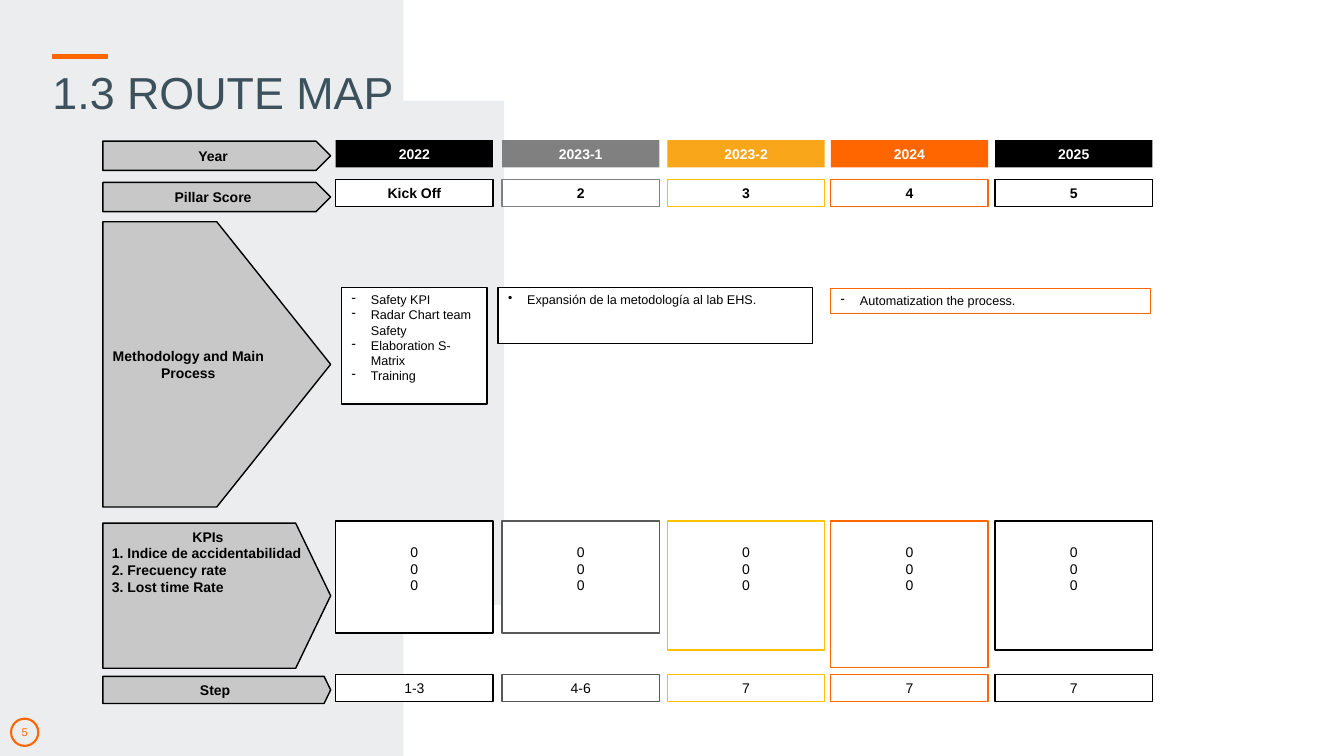
from lxml import etree
from pptx import Presentation, util as u
from pptx.dml.color import RGBColor
from pptx.enum import shapes, text
from pptx.oxml import ns

COLORS = {"black": "000000", "white": "FFFFFF", "grey": "808080", "dark grey": "595959",
          "plate": "C8C8C8", "amber": "F9A61A", "yellow": "FFC000", "orange": "FF6600",
          "slate": "3C515B", "backdrop": "3C4F5B"}
RECT, PLATE = shapes.MSO_SHAPE.RECTANGLE, shapes.MSO_SHAPE.PENTAGON
LEFT, CENTER = text.PP_ALIGN.LEFT, text.PP_ALIGN.CENTER
TOP, MIDDLE = text.MSO_ANCHOR.TOP, text.MSO_ANCHOR.MIDDLE


def color(name):
    return RGBColor.from_string(COLORS[name])


def add_box(kind, frame, fill, line, lines, size=10, bold=False, ink="black", align=CENTER,
            anchor=TOP, bullet=None, top_inset=0.05, side_inset=0.1, weight=1):
    """Draw a filled, outlined shape holding one paragraph per line; None means no fill or line."""
    box = slide.shapes.add_shape(kind, *map(u.Inches, frame))
    box.shadow.inherit = False
    if fill:
        box.fill.solid()
        box.fill.fore_color.rgb = color(fill)
    else:
        box.fill.background()
    if line:
        box.line.color.rgb = color(line)
        box.line.width = u.Pt(weight)
    else:
        box.line.fill.background()
    body = box.text_frame
    layout = {"word_wrap": True, "vertical_anchor": anchor, "margin_top": u.Inches(top_inset),
              "margin_bottom": u.Inches(0.05), "margin_left": u.Inches(side_inset),
              "margin_right": u.Inches(side_inset)}
    for key, value in layout.items():
        setattr(body, key, value)
    for index, line_text in enumerate(lines):
        para = body.paragraphs[0] if index == 0 else body.add_paragraph()
        para.alignment = align
        if bullet:
            props = para._p.get_or_add_pPr()
            props.set("marL", str(u.Inches(0.19)))
            props.set("indent", str(u.Inches(-0.19)))
            etree.SubElement(props, ns.qn("a:buChar"), char=bullet)
        run = para.add_run()
        run.text = line_text
        for key, value in {"name": "Arial", "size": u.Pt(size), "bold": bold}.items():
            setattr(run.font, key, value)
        run.font.color.rgb = color(ink)
    return box


deck = Presentation()
deck.slide_width, deck.slide_height = u.Inches(13.33), u.Inches(7.5)
slide = deck.slides.add_slide(deck.slide_layouts[6])

# Curved backdrop: Bézier arcs sampled as short segments
arcs = [[(3.82, 0), (3.87, 0.08), (3.93, 0.17), (3.98, 0.25)],
        [(3.98, 0.25), (4.59, 1.25), (4.94, 2.44), (4.94, 3.71)],
        [(4.94, 3.71), (4.94, 5.09), (4.52, 6.37), (3.8, 7.44)]]
STEPS = 24
edge = []
for arc in arcs:
    for step in range(1, STEPS + 1):
        t = step / STEPS
        weights = ((1 - t) ** 3, 3 * t * (1 - t) ** 2, 3 * t ** 2 * (1 - t), t ** 3)
        edge.append(tuple(sum(w * point[axis] for w, point in zip(weights, arc))
                          for axis in (0, 1)))
outline = slide.shapes.build_freeform(0, 0, scale=u.Inches(1))
outline.add_line_segments([(3.82, 0), *edge, (3.76, 7.5), (0, 7.5)], close=True)
backdrop = outline.convert_to_shape()
backdrop.shadow.inherit = False
backdrop.line.fill.background()
backdrop.fill.solid()
backdrop.fill.fore_color.rgb = color("backdrop")
tint = backdrop._element.spPr.find(".//" + ns.qn("a:srgbClr"))
etree.SubElement(tint, ns.qn("a:alpha"), val="10000")

# Page number, accent and title
add_box(shapes.MSO_SHAPE.OVAL, (0.11, 7.13, 0.27, 0.27), None, "orange", ["5"], size=8,
        ink="orange", anchor=MIDDLE, side_inset=0, weight=1.5)
accent = slide.shapes.add_connector(shapes.MSO_CONNECTOR.STRAIGHT, u.Inches(0.52),
                                    u.Inches(0.56), u.Inches(1.07), u.Inches(0.56))
accent.line.color.rgb = color("orange")
accent.line.width = u.Pt(3)
etree.SubElement(accent._element.spPr, ns.qn("a:effectLst"))

heading = slide.shapes.add_textbox(*map(u.Inches, (0.52, 0.7, 9.28, 0.48))).text_frame
for key in ("margin_left", "margin_top", "margin_right", "margin_bottom"):
    setattr(heading, key, 0)
heading.word_wrap = True
title = heading.paragraphs[0]
title.text = "1.3 ROUTE MAP"
title.line_spacing = 0.9
for key, value in {"name": "Arial", "size": u.Pt(32)}.items():
    setattr(title.font, key, value)
title.font.color.rgb = color("slate")

# Row labels: top, height, point depth, lines, alignment, anchor
PLATE_LEFT, PLATE_WIDTH = 1.02, 2.26
row_labels = [
    (1.4, 0.29, 0.5, ["Year"], CENTER, MIDDLE),
    (1.81, 0.29, 0.5, ["Pillar Score"], CENTER, MIDDLE),
    (2.2, 2.83, 0.4, ["Methodology and Main Process"], CENTER, MIDDLE),
    (5.19, 1.44, 0.241, ["KPIs", "1. Indice de accidentabilidad", "2. Frecuency rate",
                         "3. Lost time Rate"], LEFT, TOP),
    (6.71, 0.27, 0.241, ["Step"], CENTER, MIDDLE),
]
for top, height, depth, lines, align, anchor in row_labels:
    plate = add_box(PLATE, (PLATE_LEFT, top, PLATE_WIDTH, height), "plate", "black", lines,
                    bold=True, align=align, anchor=anchor, side_inset=0.09)
    plate.adjustments[0] = 0.5 if len(lines) == 1 and height > 1 else depth
    plate.text_frame.paragraphs[0].alignment = CENTER

# Year columns: left, year, year fill, score, score line, KPI line, KPI height, step
CELL_WIDTH, CELL_HEIGHT = 1.56, 0.27
years = [
    (3.33, "2022", "black", "Kick Off", "black", "black", 1.11, "1-3"),
    (4.98, "2023-1", "grey", "2", "grey", "dark grey", 1.11, "4-6"),
    (6.62, "2023-2", "amber", "3", "yellow", "yellow", 1.28, "7"),
    (8.24, "2024", "orange", "4", "orange", "orange", 1.45, "7"),
    (9.87, "2025", "black", "5", "black", "black", 1.28, "7"),
]
for left, year, year_fill, score, score_line, kpi_line, kpi_height, step in years:
    add_box(RECT, (left, 1.39, CELL_WIDTH, CELL_HEIGHT), year_fill, None, [year],
            bold=True, ink="white")
    add_box(RECT, (left, 1.78, CELL_WIDTH, CELL_HEIGHT), "white", score_line, [score], bold=True)
    add_box(RECT, (left, 5.17, CELL_WIDTH, kpi_height), "white", kpi_line, ["0"] * 3,
            top_inset=0.22)
    add_box(RECT, (left, 6.69, CELL_WIDTH, CELL_HEIGHT), "white", kpi_line, [step])

# Methodology activities
activities = [
    ((3.39, 2.85, 1.44, 1.16), "black", "-",
     ["Safety KPI", "Radar Chart team Safety", "Elaboration S-Matrix", "Training"]),
    ((4.94, 2.85, 3.12, 0.56), "black", "•", ["Expansión de la metodología al lab EHS."]),
    ((8.24, 2.86, 3.17, 0.25), "orange", "-", ["Automatization the process."]),
]
for frame, line, bullet, lines in activities:
    add_box(RECT, frame, "white", line, lines, size=9, align=LEFT, bullet=bullet)

deck.save("out.pptx")
